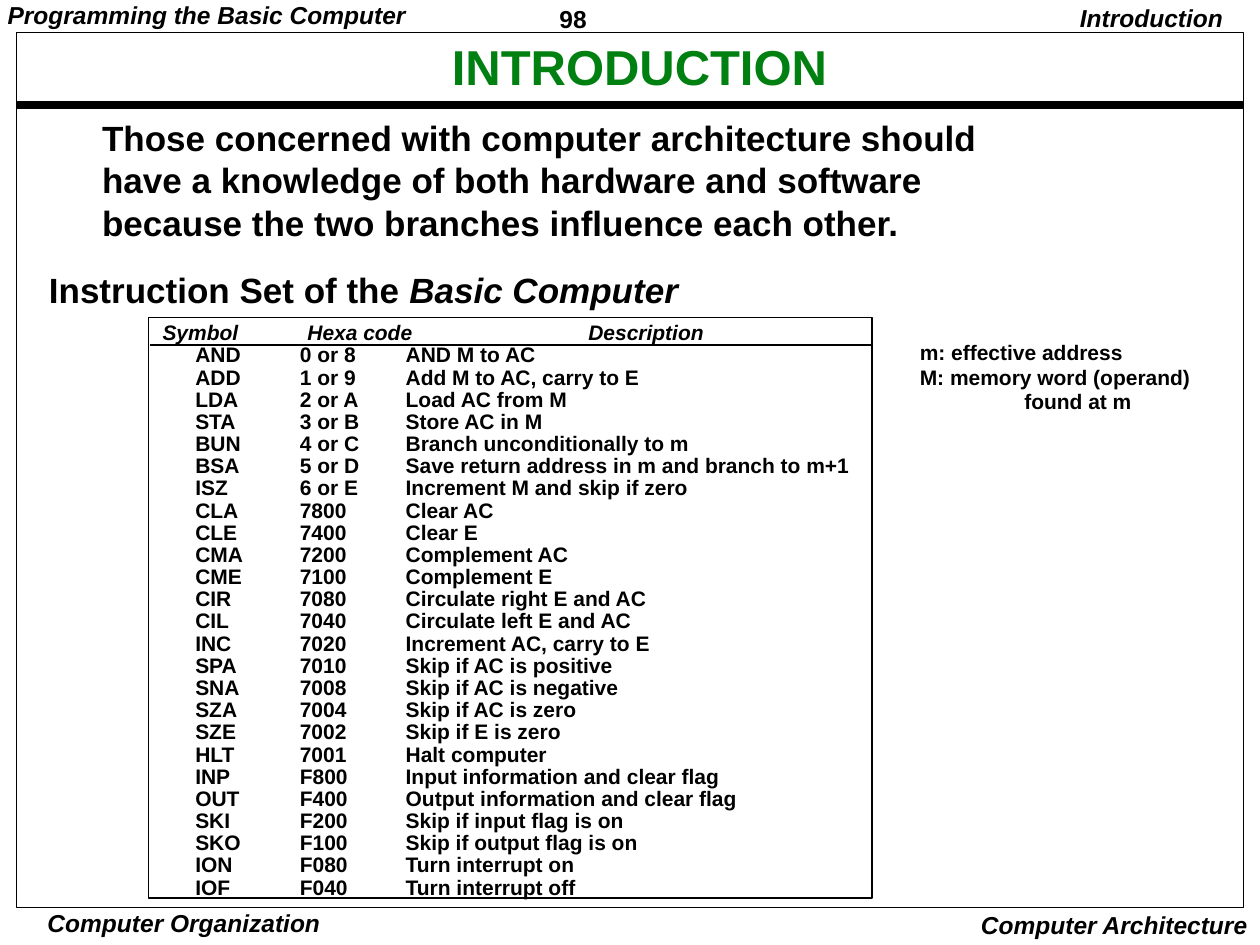
from lxml.etree import SubElement
from pptx import Presentation
from pptx.dml.color import RGBColor
from pptx.enum.shapes import MSO_CONNECTOR, MSO_SHAPE
from pptx.enum.text import MSO_ANCHOR, MSO_AUTO_SIZE, PP_ALIGN
from pptx.oxml.ns import qn
from pptx.util import Inches, Pt

COLORS = {"ink": "000000", "title": "008011"}
LEFT, CENTER, RIGHT = PP_ALIGN.LEFT, PP_ALIGN.CENTER, PP_ALIGN.RIGHT
WIDE, MEDIUM, TIGHT = (0.1, 0.05), (0.07, 0.03), (0.03, 0.01)
TAB_STOPS = [0.83, 1.67]
ROW_INDENT = 0.63

TITLE = "INTRODUCTION"
INTRO = [
    "Those concerned with computer architecture should",
    "have a knowledge of both hardware and software",
    "because the two branches influence each other.",
]
LEGEND = ["m: effective address", "M: memory word (operand)", "\tfound at m"]
INSTRUCTIONS = [
    ("AND", "0 or 8", "AND M to AC"),
    ("ADD", "1 or 9", "Add M to AC, carry to E"),
    ("LDA", "2 or A", "Load AC from M"),
    ("STA", "3 or B", "Store AC in M"),
    ("BUN", "4 or C", "Branch unconditionally to m"),
    ("BSA", "5 or D", "Save return address in m and branch to m+1"),
    ("ISZ", "6 or E", "Increment M and skip if zero"),
    ("CLA", "7800", "Clear AC"),
    ("CLE", "7400", "Clear E"),
    ("CMA", "7200", "Complement AC"),
    ("CME", "7100", "Complement E"),
    ("CIR", "7080", "Circulate right E and AC"),
    ("CIL", "7040", "Circulate left E and AC"),
    ("INC", "7020", "Increment AC, carry to E"),
    ("SPA", "7010", "Skip if AC is positive"),
    ("SNA", "7008", "Skip if AC is negative"),
    ("SZA", "7004", "Skip if AC is zero"),
    ("SZE", "7002", "Skip if E is zero"),
    ("HLT", "7001", "Halt computer"),
    ("INP", "F800", "Input information and clear flag"),
    ("OUT", "F400", "Output information and clear flag"),
    ("SKI", "F200", "Skip if input flag is on"),
    ("SKO", "F100", "Skip if output flag is on"),
    ("ION", "F080", "Turn interrupt on"),
    ("IOF", "F040", "Turn interrupt off"),
]
ROWS = ["\t".join(instruction) for instruction in INSTRUCTIONS]
HEADING = [[("Instruction Set of the ", False), ("Basic Computer", True)]]

PAGE_TEXTS = [
    ((4.37, 0, 1.08, 0.29), ["98"], dict(spacing=1.01)),
    ((0.3, 7.2, 2.32, 0.26), ["Computer Organization"],
     dict(margins=TIGHT, align=CENTER, italic=True, spacing=1.0)),
    ((7.68, 7.17, 2.32, 0.33), ["Computer Architecture"],
     dict(margins=WIDE, align=RIGHT, italic=True, spacing=1.0)),
    ((8.47, 0, 1.39, 0.31), ["Introduction "],
     dict(margins=WIDE, align=RIGHT, italic=True, spacing=0.9)),
    ((-0.01, 0, 3.4, 0.27), ["Programming the Basic Computer"],
     dict(italic=True, spacing=0.9)),
]
COLUMN_HEADS = [("Symbol", 1.22, 0.8), ("Hexa code", 2.37, 1.03), ("Description", 4.6, 1.1)]
BODY_TEXTS = [
    ((left, 2.52, width, 0.25), [head], dict(size=12, italic=True, spacing=0.97))
    for head, left, width in COLUMN_HEADS
] + [
    ((0.74, 0.89, 8.66, 1.4), INTRO, dict(size=20, spacing=1.01, wrap=True)),
    ((7.23, 2.68, 2.4, 0.64), LEGEND, dict(size=12, spacing=0.97)),
    ((0.82, 2.69, 6.1, 4.67), ROWS,
     dict(size=12, spacing=0.88, margins=WIDE, indent=ROW_INDENT)),
    ((0.29, 2.12, 5.3, 0.4), HEADING, dict(size=20, spacing=0.9, margins=WIDE)),
]
FRAMES = [((0.13, 0.26, 9.74, 6.94), 0.5), ((1.18, 2.52, 5.74, 4.61), 1)]
RULES = [((0.13, 0.83, 9.87, 0.83), 4.5), ((1.19, 2.74, 6.93, 2.74), 1)]


def apply(target, values):
    for name, value in values.items():
        setattr(target, name, value)


def add_run(paragraph, text, size, color, italic=False):
    run = paragraph.add_run()
    run.text = text
    apply(run.font, dict(name="Arial", size=Pt(size), bold=True, italic=italic))
    run.font.color.rgb = RGBColor.from_string(COLORS[color])


def add_tabs(paragraph):
    stops = SubElement(paragraph._p.get_or_add_pPr(), qn("a:tabLst"))
    for stop in TAB_STOPS:
        SubElement(stops, qn("a:tab"), pos=str(Inches(stop)), algn="l")


def fit_frame(frame, margins, wrap, auto_size, indent=0):
    side, edge = map(Inches, margins)
    apply(frame, dict(margin_left=side + Inches(indent), margin_right=side,
                      margin_top=edge, margin_bottom=edge,
                      word_wrap=wrap, auto_size=auto_size))


def add_text(slide, box, lines, size=14, italic=False, spacing=1.0, align=LEFT,
             margins=MEDIUM, wrap=False, indent=0):
    frame = slide.shapes.add_textbox(*map(Inches, box)).text_frame
    fit_frame(frame, margins, wrap, MSO_AUTO_SIZE.SHAPE_TO_FIT_TEXT, indent)
    for index, line in enumerate(lines):
        paragraph = frame.add_paragraph() if index else frame.paragraphs[0]
        apply(paragraph, dict(alignment=align, line_spacing=spacing))
        parts = [(line, italic)] if isinstance(line, str) else line
        if any("\t" in text for text, _ in parts):
            add_tabs(paragraph)
        for text, slanted in parts:
            add_run(paragraph, text, size, "ink", slanted)


def set_line(shape, width):
    shape.line.color.rgb = RGBColor.from_string(COLORS["ink"])
    shape.line.width = Pt(width)


def add_frame(slide, box, width):
    border = slide.shapes.add_shape(MSO_SHAPE.RECTANGLE, *map(Inches, box))
    border.shadow.inherit = False
    border.fill.background()
    set_line(border, width)


def add_rule(slide, ends, width):
    rule = slide.shapes.add_connector(MSO_CONNECTOR.STRAIGHT, *map(Inches, ends))
    set_line(rule, width)
    SubElement(rule._element.spPr, qn("a:effectLst"))


def set_title(slide):
    title = slide.shapes.title
    left, top, width, height = map(Inches, (0.86, 0.32, 8.43, 0.46))
    apply(title, dict(left=left, top=top, width=width, height=height))
    fit_frame(title.text_frame, WIDE, True, MSO_AUTO_SIZE.NONE)
    title.text_frame.vertical_anchor = MSO_ANCHOR.MIDDLE
    paragraph = title.text_frame.paragraphs[0]
    apply(paragraph, dict(alignment=CENTER, line_spacing=0.9))
    add_run(paragraph, TITLE, 28, "title")


def main():
    deck = Presentation()
    apply(deck, dict(slide_width=Inches(10), slide_height=Inches(7.5)))
    slide = deck.slides.add_slide(deck.slide_layouts[5])
    set_title(slide)
    for box, width in FRAMES:
        add_frame(slide, box, width)
    for ends, width in RULES:
        add_rule(slide, ends, width)
    for box, lines, style in PAGE_TEXTS + BODY_TEXTS:
        add_text(slide, box, lines, **style)
    deck.save("out.pptx")


if __name__ == "__main__":
    main()
